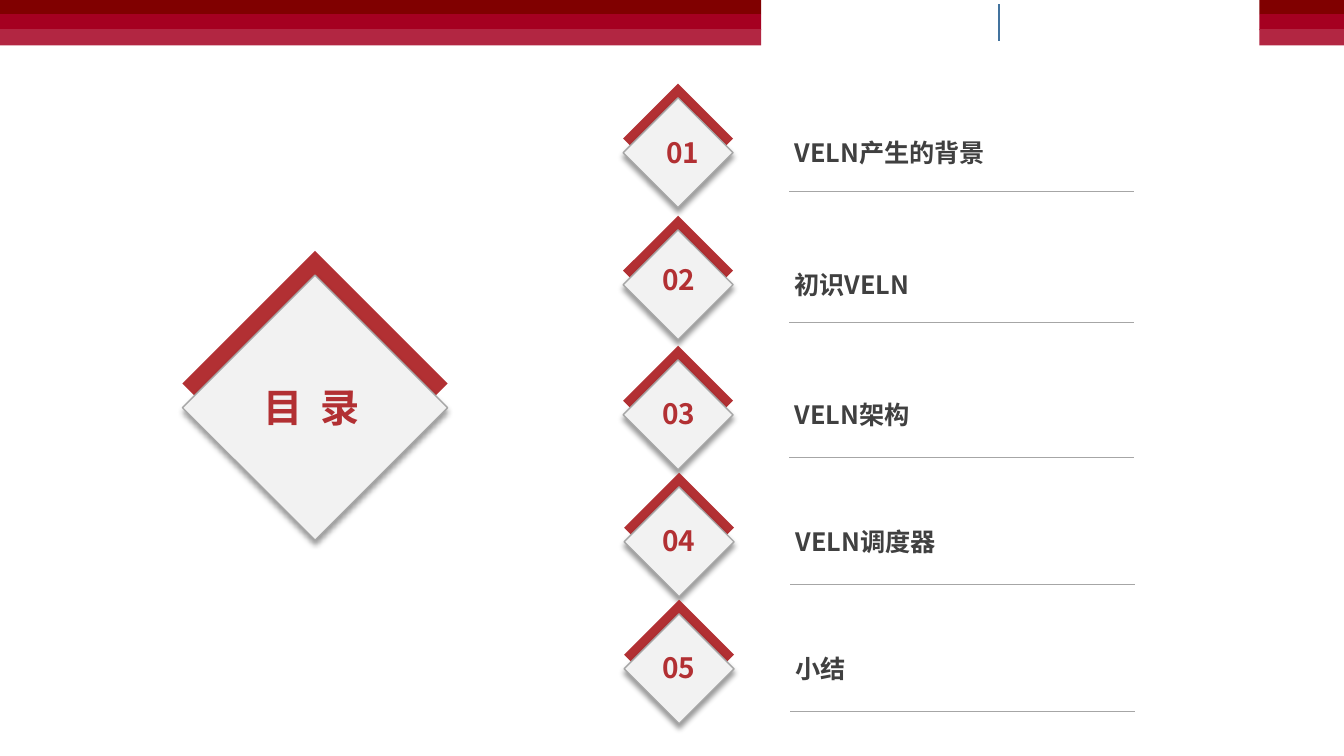
from lxml import etree
from pptx import Presentation
from pptx import util as u
from pptx.dml.color import RGBColor
from pptx.enum import shapes, text
from pptx.oxml import parse_xml
from pptx.oxml.ns import nsdecls, qn

FONT = "Noto Sans CJK SC"
RED, PALE, GREY, DARK = "B23033", "F2F2F2", "A6A6A6", "404040"
SHADOW = (f'<a:effectLst {nsdecls("a")}><a:outerShdw blurRad="50800" dist="38100" '
          'dir="5400000" algn="t" rotWithShape="0"><a:srgbClr val="000000">'
          '<a:alpha val="40000"/></a:srgbClr></a:outerShdw></a:effectLst>')


def paint(target, colour):
    """Give a fill, line or font a solid colour from a hex string."""
    if hasattr(target, "solid"):
        target.solid()
        target = target.fore_color
    else:
        target = target.color
    target.rgb = RGBColor.from_string(colour)


def write(box, words, size, colour, margins=(0.1, 0.05)):
    """Fill a text holder with one bold, left-aligned line."""
    frame = box.text_frame
    side, edge = (u.Inches(margin) for margin in margins)
    layout = {"word_wrap": True, "auto_size": text.MSO_AUTO_SIZE.NONE,
              "vertical_anchor": text.MSO_ANCHOR.TOP,
              "margin_left": side, "margin_right": side,
              "margin_top": edge, "margin_bottom": edge}
    for name, value in layout.items():
        setattr(frame, name, value)
    para = frame.paragraphs[0]
    para.alignment = text.PP_ALIGN.LEFT
    span = para.add_run()
    span.text = words
    for name, value in {"name": FONT, "size": u.Pt(size), "bold": True}.items():
        setattr(span.font, name, value)
    paint(span.font, colour)
    for props in box.element.iter(qn("a:rPr")):
        props.find(qn("a:latin")).addnext(
            parse_xml(f'<a:ea {nsdecls("a")} typeface="{FONT}"/>'))


deck = Presentation()
deck.slide_width, deck.slide_height = u.Inches(13.33), u.Inches(7.5)
page = deck.slides.add_slide(deck.slide_layouts[5])

# Header bands on both sides of the white gap
for left, width in ((0, 7.55), (12.49, 0.87)):
    for top, height, colour in ((0, 0.14, "800000"), (0.14, 0.16, "A50021"),
                                (0.29, 0.16, "B22642")):
        band = page.shapes.add_shape(shapes.MSO_SHAPE.RECTANGLE, u.Inches(left),
                                     u.Inches(top), u.Inches(width), u.Inches(height))
        band.shadow.inherit = False
        paint(band.fill, colour)
        band.line.fill.background()

# Agenda rows: label, badge top, rule height, number left and drop, row shift
rows = [("VELN产生的背景", 0.83, 1.9, 6.51, 0.47, 0),
        ("初识VELN", 2.14, 3.2, 6.47, 0.42, 0),
        ("VELN架构", 3.43, 4.54, 6.47, 0.45, 0),
        ("VELN调度器", 4.69, 5.8, 6.47, 0.45, 0.01),
        ("小结", 5.95, 7.06, 6.47, 0.45, 0.01)]

# Each badge is a red diamond with a pale, shadowed one lowered over it
badges = [(1.81, 2.49, 2.63, 0.24)]
badges += [(6.18 + shift, top, 1.09, 0.14) for _, top, _, _, _, shift in rows]
groups = []
for left, top, size, drop in badges:
    group = page.shapes.add_group_shape()
    groups.append(group)
    for offset, colour in ((0, RED), (drop, PALE)):
        diamond = group.shapes.add_shape(
            shapes.MSO_SHAPE.FLOWCHART_DECISION, u.Inches(left),
            u.Inches(top + offset), u.Inches(size), u.Inches(size))
        diamond.shadow.inherit = False
        paint(diamond.fill, colour)
        diamond.line.fill.background()
    paint(diamond.line, GREY)
    diamond.line.width = u.Pt(1)
    effects = diamond.element.spPr.find(qn("a:effectLst"))
    effects.getparent().replace(effects, parse_xml(SHADOW))

# Title sits on top of the large badge
title = page.shapes.title
for name, value in {"left": 2.54, "top": 3.76, "width": 1.58, "height": 0.57}.items():
    setattr(title, name, u.Inches(value))
write(title, "目 录", 28, RED, (0.07, 0.04))
for props in title.element.iter(qn("a:rPr")):
    props.set("spc", "330")
groups[0].element.addnext(title.element)

# Numbers and labels
for number, (label, top, _, left, drop, shift) in enumerate(rows, 1):
    box = groups[number].shapes.add_textbox(u.Inches(left), u.Inches(top + drop),
                                            u.Inches(0.57), u.Inches(0.46))
    write(box, f"{number:02}", 20, RED)
    box = page.shapes.add_textbox(u.Inches(7.81 + shift), u.Inches(top + 0.49),
                                  u.Inches(3.4), u.Inches(0.37))
    write(box, label, 18, DARK, (0.07, 0.04))

# Rules under the labels and the header divider
rules = [(7.83 + shift, level, 11.25 + shift, level, GREY, 0.5)
         for _, _, level, _, _, shift in rows]
rules.append((9.91, 0.04, 9.91, 0.41, "43739E", 1))
for *ends, colour, weight in rules:
    rule = page.shapes.add_connector(shapes.MSO_CONNECTOR.STRAIGHT,
                                     *(u.Inches(end) for end in ends))
    paint(rule.line, colour)
    rule.line.width = u.Pt(weight)
    etree.SubElement(rule.element.spPr, qn("a:effectLst"))

deck.save("out.pptx")
